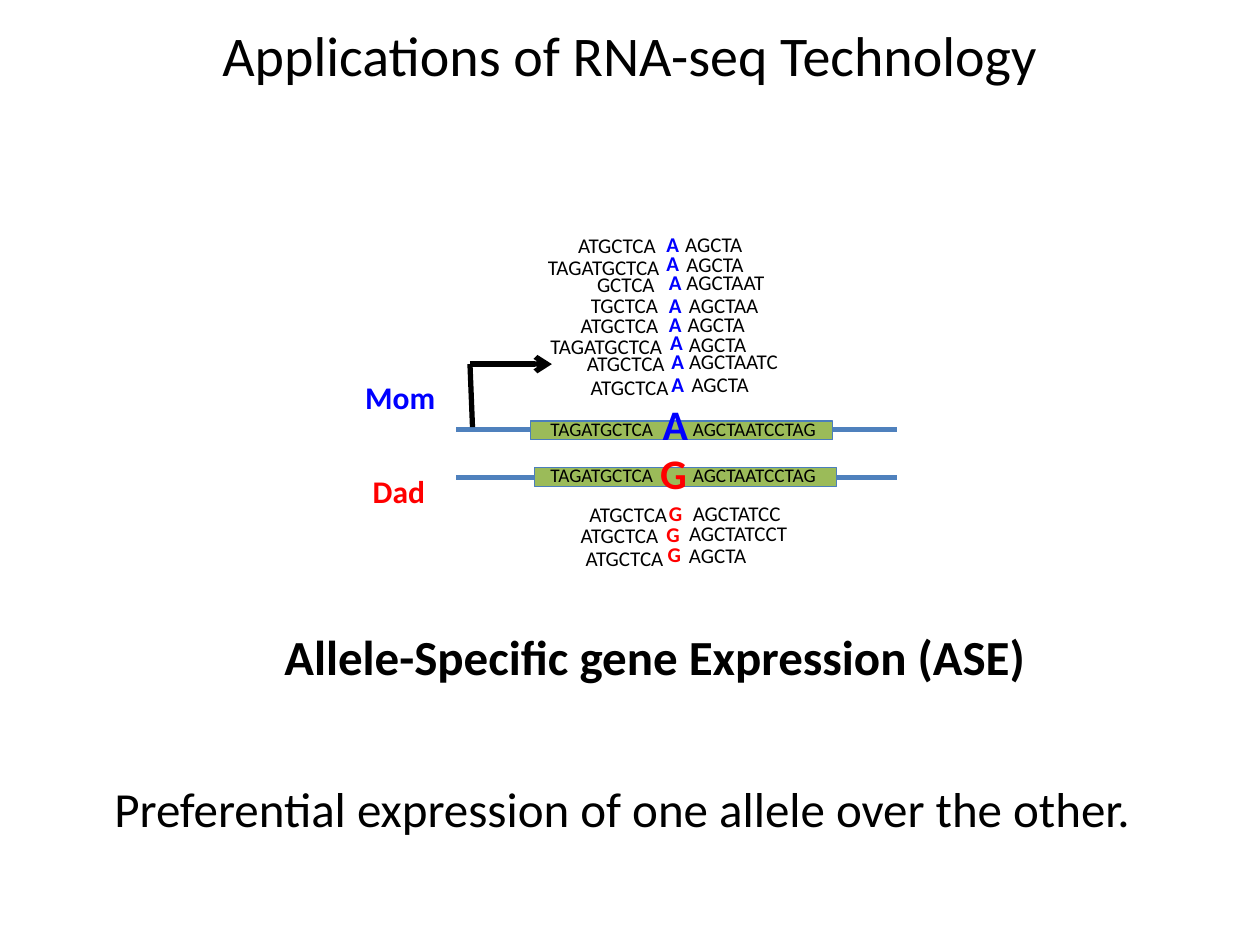
from lxml import etree
from pptx import Presentation
from pptx import util as u
from pptx.dml.color import RGBColor
from pptx.enum import shapes, text
from pptx.oxml.ns import qn

BLACK = RGBColor(0x00, 0x00, 0x00)
MOM_BLUE = RGBColor(0x00, 0x00, 0xFF)
DAD_RED = RGBColor(0xFF, 0x00, 0x00)
GENE_GREEN = RGBColor(0x9B, 0xBB, 0x59)
GENE_EDGE = RGBColor(0x4B, 0x7E, 0xBC)
STRAND_BLUE = RGBColor(0x4F, 0x81, 0xBD)

COLUMNS, ROWS = 100, 75
READ_WIDTHS = {"A": 3, "G": 3.1, "AGCTA": 6.6, "GCTCA": 6.6, "TGCTCA": 7.5,
               "AGCTAA": 7.6, "ATGCTCA": 8.3, "AGCTAAT": 8.3, "AGCTAATC": 9.1,
               "AGCTATCC": 9.1, "AGCTATCCT": 9.9, "TAGATGCTCA": 11}

# Each read: left part, allele and right part, each with its column and row
MOM_UPPER_READS = [
    (("ATGCTCA", 44.9, 18), ("A", 51.9, 17.9), ("AGCTA", 53.4, 17.9)),
    (("TAGATGCTCA", 42.5, 19.7), ("A", 51.9, 19.4), ("AGCTA", 53.5, 19.5)),
    (("GCTCA", 46.4, 21.1), ("A", 52.1, 20.9), ("AGCTAAT", 53.5, 20.9)),
    (("TGCTCA", 45.9, 22.7), ("A", 52.1, 22.7), ("AGCTAA", 53.7, 22.7)),
]
MOM_LOWER_READS = [
    (("ATGCTCA", 45.1, 24.3), ("A", 52.1, 24.2), ("AGCTA", 53.6, 24.2)),
    (("TAGATGCTCA", 42.7, 26), ("A", 52.2, 25.7), ("AGCTA", 53.7, 25.8)),
    (("ATGCTCA", 45.6, 27.3), ("A", 52.3, 27.2), ("AGCTAATC", 53.7, 27.2)),
    (("ATGCTCA", 45.9, 29.2), ("A", 52.3, 29), ("AGCTA", 53.9, 29)),
]
DAD_READS = [
    (("ATGCTCA", 45.8, 39.3), ("G", 52.1, 39.2), ("AGCTATCC", 54, 39.2)),
    (("ATGCTCA", 45.1, 41), ("G", 51.9, 40.9), ("AGCTATCCT", 53.7, 40.8)),
    (("ATGCTCA", 45.5, 42.8), ("G", 52, 42.5), ("AGCTA", 53.7, 42.6)),
]


class SlideBuilder:
    """Holds the style and the current slide; lengths are grid columns and rows."""

    font = "Calibri"

    def __init__(self, deck):
        self.page = deck.slides.add_slide(deck.slide_layouts[5])
        self.column = deck.slide_width / COLUMNS
        self.row = deck.slide_height / ROWS

    def place(self, left, top, width, height):
        return (round(left * self.column), round(top * self.row),
                round(width * self.column), round(height * self.row))

    def add_span(self, para, words, size, color=BLACK, bold=False):
        span = para.add_run()
        span.text = words
        span.font.name = self.font
        span.font.size = u.Pt(size)
        span.font.bold = bold
        span.font.color.rgb = color

    def title(self, words, at, size):
        box = self.page.shapes.title
        box.left, box.top, box.width, box.height = self.place(*at)
        box.text_frame.vertical_anchor = text.MSO_ANCHOR.MIDDLE
        para = box.text_frame.paragraphs[0]
        para.alignment = text.PP_ALIGN.CENTER
        self.add_span(para, words, size)

    def label(self, words, at, size, color=BLACK, bold=False, wrap=False, parent=None):
        box = (parent or self.page).shapes.add_textbox(*self.place(*at))
        frame = box.text_frame
        frame.word_wrap = wrap
        frame.auto_size = text.MSO_AUTO_SIZE.SHAPE_TO_FIT_TEXT
        self.add_span(frame.paragraphs[0], words, size, color, bold)

    def line(self, start, end, color, arrow=False):
        ends = self.place(*start, *end)
        line = self.page.shapes.add_connector(shapes.MSO_CONNECTOR.STRAIGHT, *ends)
        line.line.color.rgb = color
        line.line.width = u.Pt(3)
        properties = line._element.spPr
        if arrow:
            etree.SubElement(properties.find(qn("a:ln")), qn("a:tailEnd"), type="arrow")
        etree.SubElement(properties, qn("a:effectLst"))

    def gene(self, left, top, strand_row):
        self.line((36.2, strand_row), (71.2, strand_row), STRAND_BLUE)
        bar = self.page.shapes.add_shape(
            shapes.MSO_SHAPE.RECTANGLE, *self.place(left, top, 24, 1.5))
        bar.shadow.inherit = False
        bar.fill.solid()
        bar.fill.fore_color.rgb = GENE_GREEN
        bar.line.color.rgb = GENE_EDGE
        bar.line.width = u.Pt(0.75)

    def reads(self, rows, allele_color):
        group = self.page.shapes.add_group_shape()
        for parts in rows:
            for index, (words, left, top) in enumerate(parts):
                is_allele = index == 1
                self.label(words, (left, top, READ_WIDTHS[words], 3), 12,
                           allele_color if is_allele else BLACK, is_allele, parent=group)


def main():
    deck = Presentation()
    deck.slide_width, deck.slide_height = u.Inches(10), u.Inches(7.5)
    slide = SlideBuilder(deck)
    slide.title("Applications of RNA-seq Technology", (0, 0.2, 100, 8.2), 32)

    # Parents
    slide.label("Mom", (28, 29.5, 7.6, 4), 18, MOM_BLUE, True)
    slide.label("Dad", (28.6, 37, 6.2, 4.2), 18, DAD_RED, True, wrap=True)

    # Two copies of the gene, with their sequences and alleles
    slide.gene(42.4, 37.1, 37.9)
    slide.gene(42.1, 33.4, 34.1)
    for top in (32.6, 36.3):
        slide.label("TAGATGCTCA", (42.7, top, 10.6, 2.9), 11)
        slide.label("AGCTAATCCTAG", (54, top, 12.3, 2.9), 11)
    slide.label("A", (51.6, 31.1, 4.1, 5), 24, MOM_BLUE, True)
    slide.label("G", (51.4, 35, 4.2, 5), 24, DAD_RED, True)

    # Reads from each copy
    slide.reads(MOM_LOWER_READS, MOM_BLUE)
    slide.reads(DAD_READS, DAD_RED)
    slide.reads(MOM_UPPER_READS, MOM_BLUE)

    # Transcription start arrow
    slide.line((37.5, 33.9), (37.3, 28.9), BLACK)
    slide.line((37.3, 28.9), (43.8, 28.9), BLACK, arrow=True)

    # Captions
    slide.label("Allele-Specific gene Expression (ASE)", (21.6, 49.2, 68.6, 5.7),
                28, bold=True, wrap=True)
    slide.label("Preferential expression of one allele over the other.",
                (8.1, 61.3, 90, 5.7), 28, wrap=True)

    deck.save("out.pptx")


if __name__ == "__main__":
    main()
